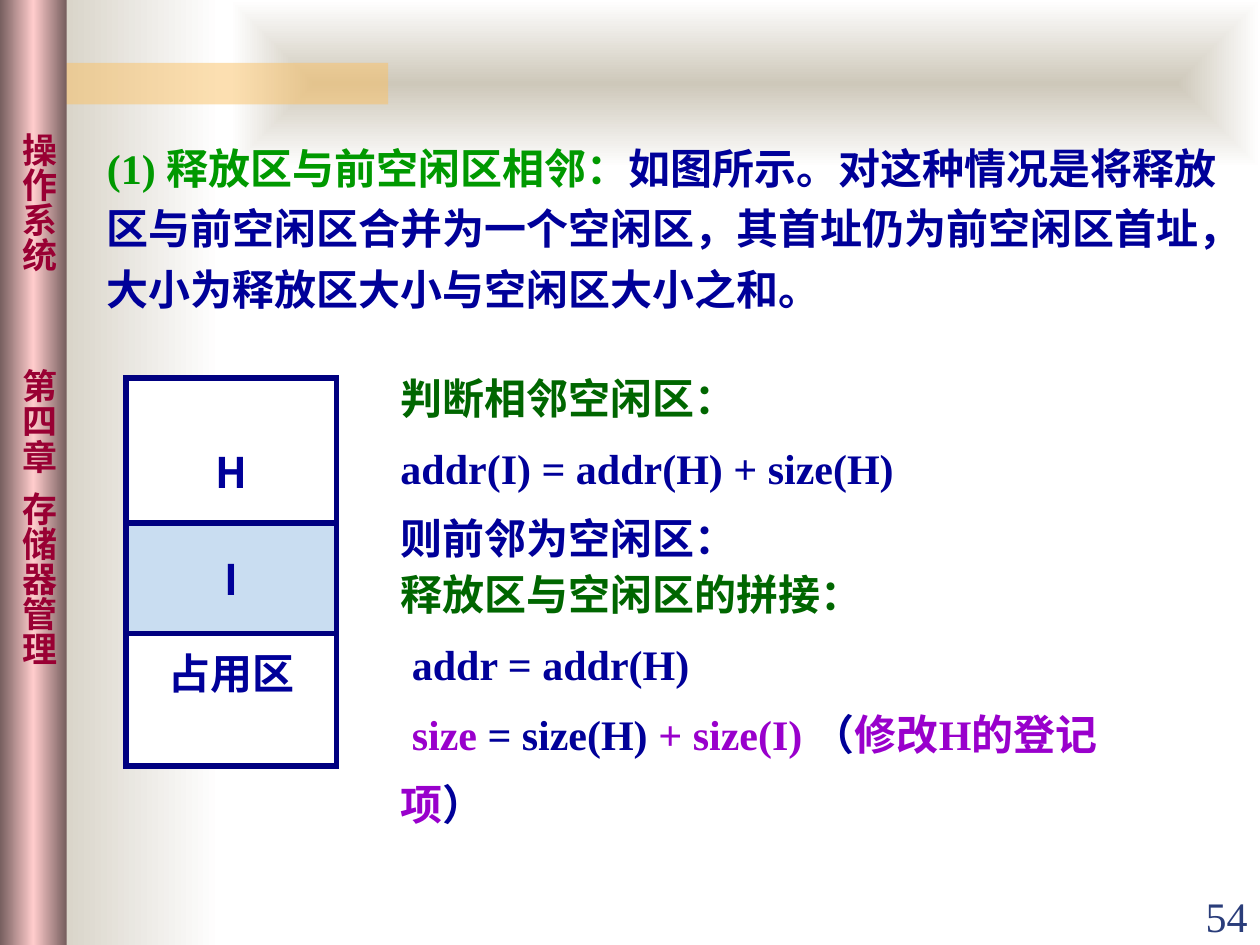
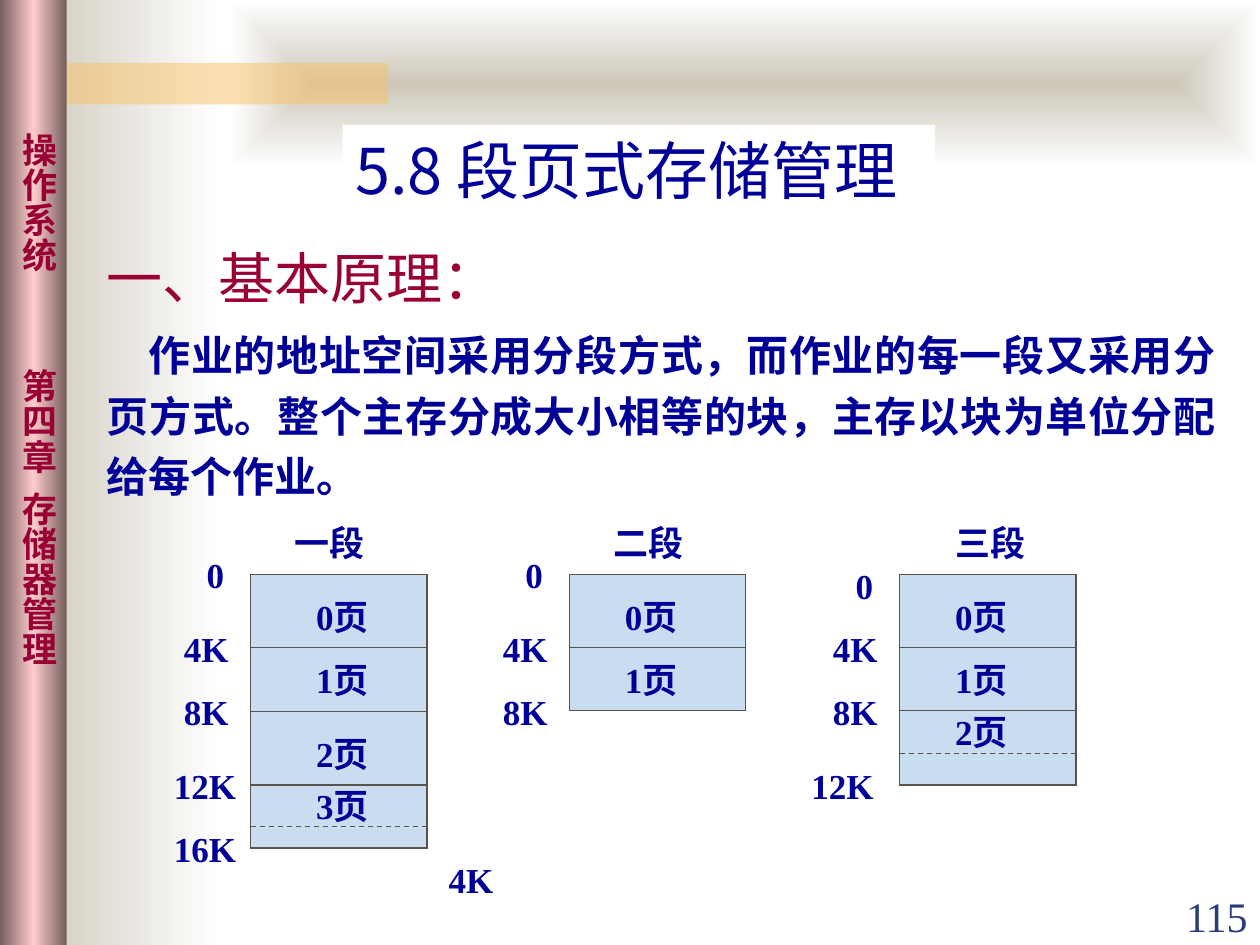
"""Builds two slides on freeing memory zones and on paged segmentation."""
from dataclasses import dataclass
from typing import Any, Optional

import lxml.etree
import pptx
import pptx.dml.color
import pptx.enum.dml
import pptx.enum.shapes
import pptx.enum.text
import pptx.oxml
import pptx.oxml.ns
import pptx.util

Inches = pptx.util.Inches
Pt = pptx.util.Pt
RGBColor = pptx.dml.color.RGBColor
Align = pptx.enum.text.PP_ALIGN
Anchor = pptx.enum.text.MSO_ANCHOR
qn = pptx.oxml.ns.qn

NAVY = RGBColor(0x00, 0x00, 0x99)
BORDER = RGBColor(0x00, 0x00, 0x80)
GREEN = RGBColor(0x00, 0x99, 0x00)
DARK_GREEN = RGBColor(0x00, 0x66, 0x00)
PURPLE = RGBColor(0x99, 0x00, 0xCC)
CRIMSON = RGBColor(0x99, 0x00, 0x33)
NUMBER_BLUE = RGBColor(0x2A, 0x3D, 0x7A)
LIGHT_BLUE = RGBColor(0xC9, 0xDD, 0xF1)
WHITE = RGBColor(0xFF, 0xFF, 0xFF)
BROWN = RGBColor(0x5B, 0x52, 0x49)
SAND = RGBColor(0xCE, 0xC8, 0xBA)
GOLD = RGBColor(0xFA, 0xC1, 0x64)
MAUVE = RGBColor(0x76, 0x5E, 0x5E)
PINK = RGBColor(0xFF, 0xCC, 0xCC)

SERIF = "Times New Roman"
SANS = "Noto Sans CJK SC"
LINEAR = '<a:lin ang="0" scaled="1"/>'
FROM_CENTRE = ('<a:path path="shape"><a:fillToRect l="50000" t="50000" '
               'r="50000" b="50000"/></a:path>')

LEVELS = (4.56, 5.14, 5.64, 6.23, 6.73)
ADDRESSES = ("0", "4K", "8K", "12K", "16K")
ADDRESS_OFFSETS = {1: 0.35, 2: 0.53, 3: 0.61}
SEGMENT_WIDTH = 1.4


@dataclass(frozen=True)
class Run:
    """A stretch of text in one format."""
    text: str
    color: RGBColor = NAVY
    size: int = 24
    font: str = SERIF
    bold: bool = True


@dataclass(frozen=True)
class Para:
    """A paragraph, with line pitch and space before in points."""
    runs: tuple[Run, ...]
    pitch: Optional[float] = None
    before: float = 0
    align: Any = Align.LEFT
    indent: float = 0


@dataclass(frozen=True)
class Box:
    """A rectangle in inches."""
    left: float
    top: float
    width: float
    height: float

    def emu(self) -> tuple[int, ...]:
        """Return the position and size as lengths."""
        return tuple(map(Inches, (self.left, self.top, self.width, self.height)))


@dataclass(frozen=True)
class Backdrop:
    """A gradient panel behind the slide's content."""
    box: Box
    stops: tuple[RGBColor, ...]
    direction: str = LINEAR


@dataclass(frozen=True)
class Segment:
    """A segment of a job's address space, cut into pages."""
    name: str
    left: float
    name_left: float
    page_left: float
    page_tops: tuple[float, ...]
    levels: int
    used_end: Optional[float] = None
    zero_top: float = 4.39
    wide_offset: float = 0.61


BACKDROPS = (
    Backdrop(Box(0.17, 0, 1.58, 7.5), (SAND, WHITE)),
    Backdrop(Box(1.83, 0, 8.17, 1.33), (SAND, WHITE), FROM_CENTRE),
)
SIDEBAR = Backdrop(Box(0, 0, 0.53, 7.5), (MAUVE, PINK, MAUVE))
SIDEBAR_LABELS = ((1.05, "操作系统"), (2.93, "第四章"), (3.9, "存储器管理"))

SEGMENTS = (
    Segment("一段", 1.99, 2.34, 2.51, (4.73, 5.23, 5.81, 6.23), 5, 6.56),
    Segment("二段", 4.52, 4.87, 4.96, (4.73, 5.23), 3),
    Segment("三段", 7.14, 7.58, 7.58, (4.73, 5.23, 5.64), 4, 5.98, 4.48, 0.7),
)


def write(tf: Any, paras: tuple[Para, ...]) -> None:
    """Fill a text frame paragraph by paragraph, run by run."""
    for i, para in enumerate(paras):
        p = tf.add_paragraph() if i else tf.paragraphs[0]
        p.alignment = para.align
        p.space_before = Pt(para.before)
        if para.pitch:
            p.line_spacing = Pt(para.pitch)
        if para.indent:
            p._p.get_or_add_pPr().set("indent", str(Inches(para.indent)))
        for run in para.runs:
            r = p.add_run()
            r.text = run.text
            r.font.name = run.font
            r.font.size = Pt(run.size)
            r.font.bold = run.bold
            r.font.color.rgb = run.color
            ea = lxml.etree.SubElement(r.font._element, qn("a:ea"))
            ea.set("typeface", SANS)


def add_text(slide: Any, box: Box, *paras: Para, wrap: bool = True,
             anchor: Any = Anchor.TOP, inset: bool = True) -> Any:
    """Add a text box and return its text frame."""
    tf = slide.shapes.add_textbox(*box.emu()).text_frame
    tf.word_wrap = wrap
    tf.vertical_anchor = anchor
    if not inset:
        tf.margin_left = tf.margin_right = tf.margin_top = tf.margin_bottom = 0
    write(tf, paras)
    return tf


def add_rect(slide: Any, box: Box, fill: RGBColor,
             line: Optional[RGBColor] = None, width: float = 0.75) -> Any:
    """Add a plain rectangle."""
    sp = slide.shapes.add_shape(pptx.enum.shapes.MSO_SHAPE.RECTANGLE, *box.emu())
    sp.shadow.inherit = False
    sp.fill.solid()
    sp.fill.fore_color.rgb = fill
    if line is None:
        sp.line.fill.background()
    else:
        sp.line.color.rgb = line
        sp.line.width = Pt(width)
        ln = sp._element.spPr.find(qn("a:ln"))
        lxml.etree.SubElement(ln, qn("a:miter")).set("lim", "800000")
    return sp


def add_backdrop(slide: Any, panel: Backdrop) -> None:
    """Add a rectangle with evenly spaced gradient stops."""
    sp = add_rect(slide, panel.box, panel.stops[0])
    step = 100000 // (len(panel.stops) - 1)
    stops = "".join(f'<a:gs pos="{i * step}"><a:srgbClr val="{color}"/></a:gs>'
                    for i, color in enumerate(panel.stops))
    grad = pptx.oxml.parse_xml(
        f'<a:gradFill {pptx.oxml.ns.nsdecls("a")} rotWithShape="1">'
        f'<a:gsLst>{stops}</a:gsLst>{panel.direction}</a:gradFill>')
    solid = sp._element.spPr.find(qn("a:solidFill"))
    solid.getparent().replace(solid, grad)


def add_divider(slide: Any, sp: Any, box: Box, y: float, dashed: bool = False) -> None:
    """Draw a line across a rectangle, joined where it meets the side middles."""
    cxn = slide.shapes.add_connector(
        pptx.enum.shapes.MSO_CONNECTOR.STRAIGHT, Inches(box.left), Inches(y),
        Inches(box.left + box.width), Inches(y))
    cxn.line.color.rgb = BROWN
    cxn.line.width = Pt(0.75)
    if dashed:
        cxn.line.dash_style = pptx.enum.dml.MSO_LINE.DASH
    lxml.etree.SubElement(cxn._element.spPr, qn("a:effectLst"))
    if abs(y - box.top - box.height / 2) < 0.01:
        cxn.begin_connect(sp, 1)
        cxn.end_connect(sp, 3)


def add_label(slide: Any, left: float, top: float, text: str) -> None:
    """Add a short label of the segment diagram."""
    add_text(slide, Box(left, top, 0.36 * len(text), 0.33),
             Para((Run(text, size=20),), 24), wrap=False, inset=False)


def add_segment(slide: Any, seg: Segment) -> None:
    """Draw a segment with its pages and addresses."""
    levels = LEVELS[:seg.levels]
    box = Box(seg.left, levels[0], SEGMENT_WIDTH, levels[-1] - levels[0])
    sp = add_rect(slide, box, LIGHT_BLUE, BROWN)
    for y in levels[1:-1]:
        add_divider(slide, sp, box, y)
    if seg.used_end:
        add_divider(slide, sp, box, seg.used_end, dashed=True)
    add_label(slide, seg.name_left, 4.14, seg.name)
    for i, top in enumerate(seg.page_tops):
        add_label(slide, seg.page_left, top, f"{i}页")
    offsets = ADDRESS_OFFSETS | {3: seg.wide_offset}
    for y, address in zip(levels, ADDRESSES):
        top = y - 0.16 if y > levels[0] else seg.zero_top
        add_label(slide, seg.left - offsets[len(address)], top, address)


def add_slide(prs: Any, layout: int, number: int) -> Any:
    """Add a slide with the shared panels, sidebar and page number."""
    slide = prs.slides.add_slide(prs.slide_layouts[layout])
    for panel in BACKDROPS:
        add_backdrop(slide, panel)
    band = add_rect(slide, Box(0.33, 0.5, 2.75, 0.33), GOLD)
    clr = band._element.spPr.find(qn("a:solidFill"))[0]
    lxml.etree.SubElement(clr, qn("a:alpha")).set("val", "50000")
    add_backdrop(slide, SIDEBAR)
    for top, text in SIDEBAR_LABELS:
        tf = add_text(slide, Box(0.07, top, 0.48, 0.3 * len(text)),
                      Para((Run(text, CRIMSON, 20, SANS),)),
                      anchor=Anchor.MIDDLE, inset=False)
        tf._txBody.bodyPr.set("vert", "eaVert")
    add_text(slide, Box(9, 7.02, 1, 0.5),
             Para((Run(str(number), NUMBER_BLUE, bold=False),), align=Align.RIGHT),
             anchor=Anchor.BOTTOM)
    return slide


def add_zone(slide: Any, box: Box, fill: RGBColor, *paras: Para) -> None:
    """Add a bordered memory zone with centred text."""
    tf = add_rect(slide, box, fill, BORDER, 3).text_frame
    tf.word_wrap = False
    tf.vertical_anchor = Anchor.MIDDLE
    write(tf, paras)


def build_merge_slide(prs: Any) -> None:
    """Build the slide on merging with the preceding free zone."""
    slide = add_slide(prs, 6, 54)
    add_text(slide, Box(0.75, 1, 9.15, 1.54), Para((
        Run("(1) 释放区与前空闲区相邻：", GREEN),
        Run("如图所示。对这种情况是将释放区与前空闲区合并为一个空闲区，"
            "其首址仍为前空闲区首址，大小为释放区大小与空闲区大小之和。")), 34.6))
    add_zone(slide, Box(1, 3, 1.67, 3.08), WHITE,
             Para((Run("H", font=SANS),), 29, align=Align.CENTER),
             Para((Run("占用区"),), 29, before=86, align=Align.CENTER))
    add_zone(slide, Box(1, 4.15, 1.67, 0.88), LIGHT_BLUE,
             Para((Run("I", font=SANS),), 29, align=Align.CENTER))
    add_text(slide, Box(3.08, 2.75, 6.33, 1.78),
             Para((Run("判断相邻空闲区：", DARK_GREEN),), 40),
             Para((Run("addr(I) = addr(H) + size(H)"),), 40),
             Para((Run("则前邻为空闲区："),), 40))
    add_text(slide, Box(3.08, 4.31, 6.33, 2.34),
             Para((Run("释放区与空闲区的拼接：", DARK_GREEN),), 40),
             Para((Run("addr = addr(H)"),), 40, indent=0.09),
             Para((Run("size", PURPLE), Run(" = size(H) "),
                   Run("+ size(I) ", PURPLE), Run("（"),
                   Run("修改H的登记项", PURPLE), Run("）")), 40, indent=0.09))


def build_segment_slide(prs: Any) -> None:
    """Build the slide on paged segmentation."""
    slide = add_slide(prs, 5, 115)
    title = slide.shapes.title
    slide.shapes.element.append(title.element)
    title.left, title.top, title.width, title.height = Box(2.72, 0.99, 4.7, 0.71).emu()
    title.fill.solid()
    title.fill.fore_color.rgb = WHITE
    tf = title.text_frame
    tf.auto_size = pptx.enum.text.MSO_AUTO_SIZE.NONE
    tf.word_wrap = False
    tf.vertical_anchor = Anchor.TOP
    write(tf, (Para((Run("5.8 段页式存储管理", size=36, font=SANS, bold=False),), 43.5),))
    add_text(slide, Box(0.75, 1.78, 9, 2.26),
             Para((Run("一、基本原理：", CRIMSON, 32, SANS, False),), 46,
                  align=Align.JUSTIFY),
             Para((Run("作业的地址空间采用分段方式，而作业的每一段又采用分页方式。"
                       "整个主存分成大小相等的块，主存以块为单位分配给每个作业。",
                       font=SANS),), 34.6, 5, Align.JUSTIFY, 0.33))
    for seg in SEGMENTS:
        add_segment(slide, seg)
    add_label(slide, 3.56, 6.81, "4K")


def main() -> None:
    """Build and save the presentation."""
    prs = pptx.Presentation()
    prs.slide_width, prs.slide_height = Inches(10), Inches(7.5)
    build_merge_slide(prs)
    build_segment_slide(prs)
    prs.save("out.pptx")


if __name__ == "__main__":
    main()
